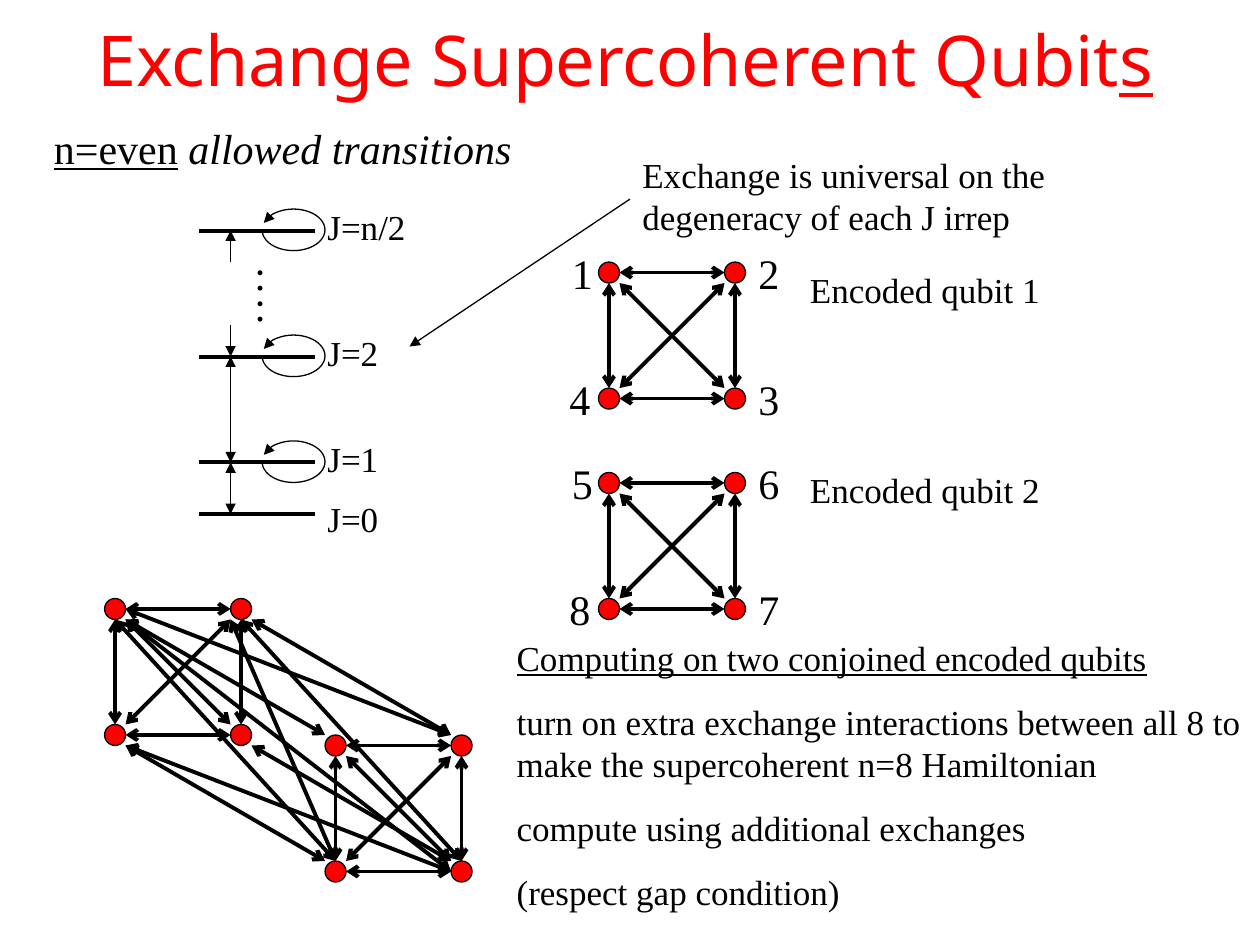
from itertools import combinations

from lxml.etree import SubElement
from pptx import Presentation
from pptx.dml.color import RGBColor
from pptx.enum.shapes import MSO_CONNECTOR as Connector, MSO_SHAPE as Shape
from pptx.enum.text import MSO_ANCHOR as Anchor, MSO_AUTO_SIZE as AutoSize, PP_ALIGN as Align
from pptx.oxml.ns import qn
from pptx.util import Inches, Pt

BLACK, RED = "000000", "FF0000"
SERIF, SANS = "Times New Roman", "Noto Sans"
RADIUS = 1 / 12
TL, TR, BR, BL = range(4)


def color(hex_code):
    """Turn a hex string into a colour."""
    return RGBColor.from_string(hex_code)


def place(item, left, top, width, height):
    """Move an item to a box given in inches."""
    item.left, item.top = Inches(left), Inches(top)
    item.width, item.height = Inches(width), Inches(height)


def add_run(paragraph, text, size, font=SERIF, hex_code=BLACK, underline=None, italic=None):
    """Add one formatted run to a paragraph."""
    run = paragraph.add_run()
    run.text = text
    run.font.size, run.font.name = Pt(size), font
    run.font.underline, run.font.italic = underline, italic
    run.font.color.rgb = color(hex_code)


def set_frame(frame):
    """Make a frame wrap from the top at a fixed size."""
    frame.word_wrap = True
    frame.auto_size = AutoSize.NONE
    frame.vertical_anchor = Anchor.TOP


def add_label(slide, text, left, top, width, height=0.44, size=20):
    """Add a text box with one run and return its paragraph."""
    label = slide.shapes.add_textbox(*map(Inches, (left, top, width, height)))
    set_frame(label.text_frame)
    paragraph = label.text_frame.paragraphs[0]
    add_run(paragraph, text, size)
    return paragraph


def set_line(item, width, head=None, tail=None):
    """Give a black line its width and arrowheads."""
    item.line.color.rgb = color(BLACK)
    item.line.width = Pt(width)
    line = item.line._get_or_add_ln()
    for tag, arrow in (("a:headEnd", head), ("a:tailEnd", tail)):
        if arrow:
            SubElement(line, qn(tag), type=arrow)


def add_line(slide, start, end, width=0.75, head=None, tail=None):
    """Draw a straight line between two points."""
    line = slide.shapes.add_connector(Connector.STRAIGHT, *map(Inches, (*start, *end)))
    set_line(line, width, head, tail)
    SubElement(line._element.spPr, qn("a:effectLst"))


def add_link(slide, start, start_side, end, end_side):
    """Draw a two-way exchange between the given sides of two dots."""
    points = [[c + RADIUS * s for c, s in zip(center, side)]
              for center, side in ((start, start_side), (end, end_side))]
    add_line(slide, *points, 2.25, "arrow", "arrow")


def add_square(slide, left, top, numbers=""):
    """Draw four fully linked dots with optional numbers; return the dot centers."""
    dots = [(left + RADIUS + dx, top + RADIUS + dy) for dx, dy in ((0, 0), (1, 0), (1, 1), (0, 1))]
    for x, y in dots:
        dot = slide.shapes.add_shape(
            Shape.OVAL, *map(Inches, (x - RADIUS, y - RADIUS, 2 * RADIUS, 2 * RADIUS)))
        dot.shadow.inherit = False
        dot.fill.solid()
        dot.fill.fore_color.rgb = color(RED)
        set_line(dot, 0.75)
    for start, end in combinations(dots, 2):
        side = [(b > a) - (b < a) for a, b in zip(start, end)]
        add_link(slide, start, side, end, [-s for s in side])
    for number, dx, (x, y) in zip(numbers, (-0.31, 1.17, 1.17, -0.33), dots):
        add_label(slide, number, left + dx, y - 0.25, 0.42, 0.5, 24)
    return dots


def add_conjoined(slide, left, top):
    """Draw two squares with the exchanges that join them."""
    first = add_square(slide, left, top)
    second = add_square(slide, left + 1.75, top + 13 * RADIUS)
    joins = [(corner, (1, 1), corner, (-1, -1)) for corner in (TL, BL, TR, BR)]
    joins += [
        (TR, (0, 1), BR, (0, -1)),
        (TL, (0, 1), BL, (0, -1)),
        (TL, (1, 0), TR, (-1, -1)),
        (BL, (1, 1), BR, (-1, 0)),
        (TL, (1, 1), BR, (-1, 0)),
        (TR, (-1, 1), BL, (0, -1)),
    ]
    for start, start_side, end, end_side in joins:
        add_link(slide, first[start], start_side, second[end], end_side)


def add_self_loop(slide, left, top):
    """Draw the looping arrow of one level."""
    loop = slide.shapes.add_shape(Shape.ARC, *map(Inches, (left, top, 0.5, 0.33)))
    loop.shadow.inherit = False
    loop.fill.background()
    for index, degrees in enumerate((193, 177)):
        loop.adjustments[index] = degrees * 0.6
    set_line(loop, 0.75, head="triangle")


def add_levels(slide, left, top):
    """Draw the J levels with their allowed transitions."""
    levels = (("J=n/2", 0, -0.25), ("J=2", 1, -0.25), ("J=1", 1.84, -0.25), ("J=0", 2.25, -0.18))
    for name, dy, label_shift in levels:
        y = top + dy
        add_line(slide, (left, y), (left + 0.92, y), 2.25)
        add_label(slide, name, left + 0.92, y + label_shift, 0.92)
        if name != "J=0":
            add_self_loop(slide, left + 0.5, y - 0.17)
    x = left + 0.25
    transitions = ((0, 0.25, "triangle", None), (0.75, 1, None, "triangle"),
                   (1, 1.84, "triangle", "triangle"), (1.84, 2.25, "triangle", "triangle"))
    for start, end, head, tail in transitions:
        add_line(slide, (x, top + start), (x, top + end), 0.75, head, tail)
    for dy in (0.09, 0.34):
        add_label(slide, ":", left + 0.34, top + dy, 0.33, 0.5, 24)


def add_title(slide, left, top, width, height):
    """Fill the title placeholder."""
    title = slide.shapes.title
    place(title, left, top, width, height)
    set_frame(title.text_frame)
    paragraph = title.text_frame.paragraphs[0]
    paragraph.alignment = Align.CENTER
    add_run(paragraph, "Exchange Supercoherent Qubit", 40, SANS, RED)
    add_run(paragraph, "s", 40, SANS, RED, underline=True)


def add_computing_notes(slide, left, top, width, height):
    """Fill the body placeholder with the computing steps."""
    body = slide.placeholders[1]
    place(body, left, top, width, height)
    frame = body.text_frame
    set_frame(frame)
    steps = (
        "Computing on two conjoined encoded qubits",
        "turn on extra exchange interactions between all 8 to make the supercoherent n=8 Hamiltonian",
        "compute using additional exchanges",
        "(respect gap condition)",
    )
    for index, step in enumerate(steps):
        paragraph = frame.add_paragraph() if index else frame.paragraphs[0]
        paragraph.space_before = Pt(12.5 if index else 0)
        properties = paragraph._p.get_or_add_pPr()
        properties.set("marL", "0")
        properties.set("indent", "0")
        SubElement(properties, qn("a:buNone"))
        add_run(paragraph, step, 20, underline=index == 0)


def main():
    """Build and save the slide."""
    deck = Presentation()
    deck.slide_width, deck.slide_height = Inches(10), Inches(7.5)
    slide = deck.slides.add_slide(deck.slide_layouts[1])
    add_title(slide, 0, 0.08, 9.92, 0.77)
    heading = add_label(slide, "n=even", 0.33, 0.92, 3.83, 0.5, 24)
    heading.runs[0].font.underline = True
    add_run(heading, " ", 24)
    add_run(heading, "allowed transitions", 24, italic=True)
    add_levels(slide, 1.58, 1.83)
    add_line(slide, (5, 1.58), (3.25, 2.75), tail="triangle")
    add_label(slide, "Exchange is universal on the degeneracy of each J irrep", 5, 1.17, 3.6, 0.77)
    add_square(slide, 4.75, 2.08, "1234")
    add_label(slide, "Encoded qubit 1", 6.33, 2.08, 2.17)
    add_square(slide, 4.75, 3.75, "5678")
    add_label(slide, "Encoded qubit 2", 6.33, 3.67, 2.17)
    add_conjoined(slide, 0.83, 4.75)
    add_computing_notes(slide, 4, 5, 6, 2.29)
    deck.save("out.pptx")


if __name__ == "__main__":
    main()
